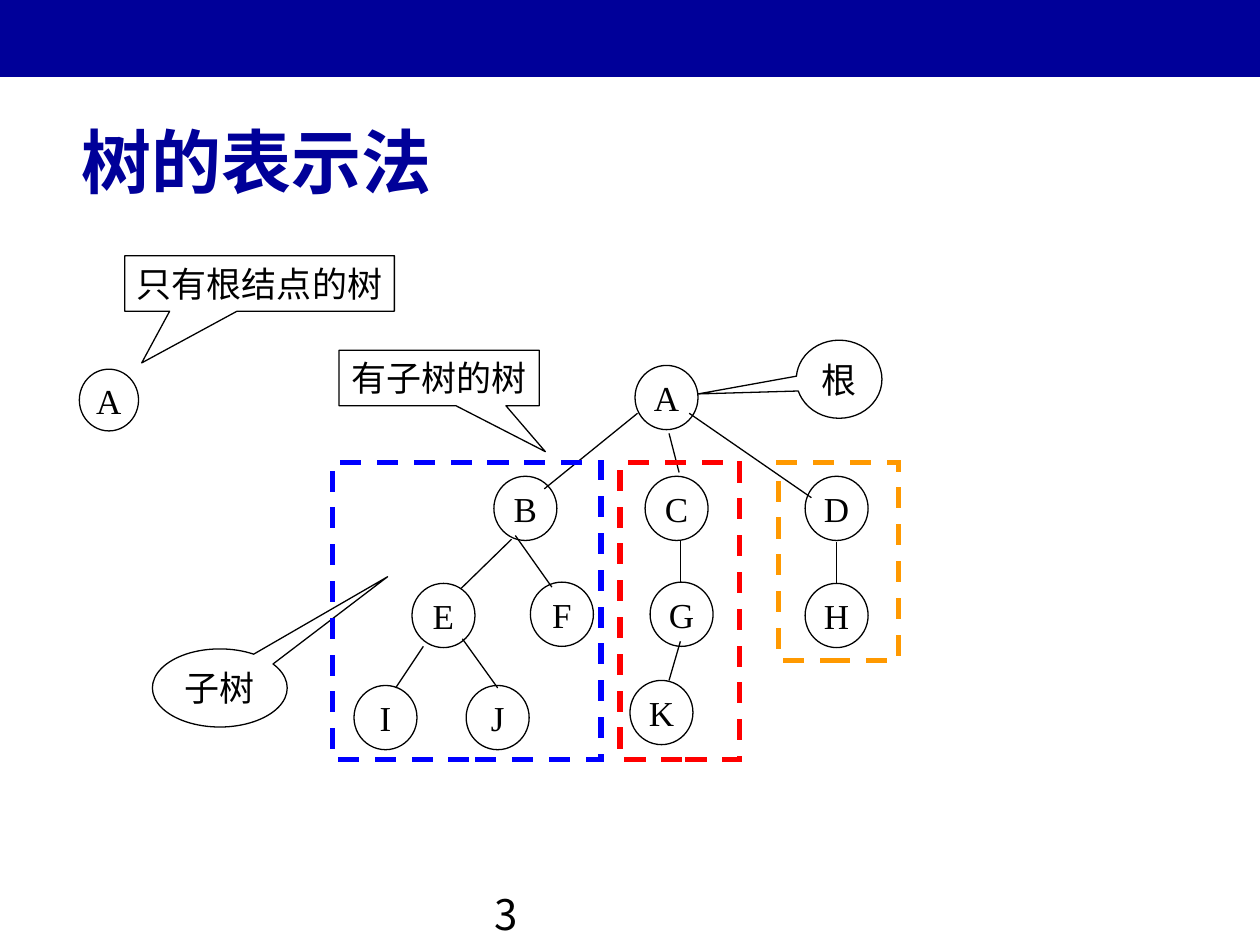
from lxml.etree import SubElement
from pptx import Presentation
from pptx.dml.color import RGBColor
from pptx.enum.dml import MSO_LINE
from pptx.enum.shapes import MSO_CONNECTOR, MSO_SHAPE
from pptx.enum.text import MSO_ANCHOR, MSO_AUTO_SIZE, PP_ALIGN
from pptx.oxml.ns import qn
from pptx.util import Inches, Pt

COLORS = {
    "navy": "000099",
    "black": "000000",
    "blue": "0000FF",
    "red": "FF0000",
    "orange": "FF9900",
}
LATIN = "Times New Roman"
CJK = "Noto Sans CJK SC"
NODE_SIZE = (0.5, 0.51)

# Left and top of each node in the large tree
NODES = {
    "A": (5.04, 2.9),
    "B": (3.92, 3.78), "C": (5.12, 3.78), "D": (6.39, 3.78),
    "E": (3.27, 4.63), "F": (4.21, 4.62), "G": (5.16, 4.62), "H": (6.39, 4.63),
    "I": (2.81, 5.44), "J": (3.7, 5.44), "K": (5, 5.4),
}

# Start and end of each branch, parent to child
BRANCHES = [
    ((5.06, 3.28), (4.32, 3.88)),  # A-B
    ((5.31, 3.44), (5.39, 3.75)),  # A-C
    ((5.47, 3.28), (6.44, 3.95)),  # A-D
    ((4.06, 4.28), (3.66, 4.67)),  # B-E
    ((4.09, 4.25), (4.38, 4.66)),  # B-F
    ((5.4, 4.29), (5.4, 4.62)),    # C-G
    ((6.64, 4.3), (6.64, 4.63)),   # D-H
    ((3.36, 5.13), (3.14, 5.46)),  # E-I
    ((3.67, 5.07), (3.95, 5.46)),  # E-J
    ((5.4, 5.09), (5.31, 5.4)),    # G-K
]

# Text, preset, box and pointer offset of each callout
CALLOUTS = [
    ("只有根结点的树", MSO_SHAPE.RECTANGULAR_CALLOUT, (0.99, 2.03, 2.14, 0.44), (-0.437, 1.433)),
    ("有子树的树", MSO_SHAPE.RECTANGULAR_CALLOUT, (2.69, 2.78, 1.59, 0.44), (0.53, 1.329)),
    ("根", MSO_SHAPE.OVAL_CALLOUT, (6.32, 2.7, 0.68, 0.62), (-1.647, 0.188)),
    ("子树", MSO_SHAPE.OVAL_CALLOUT, (1.21, 5.15, 1.07, 0.62), (1.245, -1.424)),
]

# Left, width, height and colour of each subtree frame
SUBTREES = [
    (6.18, 0.95, 1.57, "orange"),
    (4.92, 0.95, 2.36, "red"),
    (2.64, 2.13, 2.36, "blue"),
]


def rgb(name):
    return RGBColor.from_string(COLORS[name])


def write_text(holder, text, size=20, font=LATIN, color="black", bold=False,
               align=PP_ALIGN.CENTER, anchor=MSO_ANCHOR.MIDDLE, wrap=False):
    frame = holder.text_frame
    frame.auto_size = MSO_AUTO_SIZE.NONE
    frame.word_wrap = wrap
    frame.vertical_anchor = anchor
    paragraph = frame.paragraphs[0]
    paragraph.alignment = align
    run = paragraph.add_run()
    run.text = text
    run.font.size = Pt(size)
    run.font.name = font
    run.font.bold = bold
    run.font.color.rgb = rgb(color)
    SubElement(run.font._element, qn("a:ea"), typeface=CJK)


def add_outline(slide, preset, box, color="black", width=0.75):
    outline = slide.shapes.add_shape(preset, *map(Inches, box))
    outline.shadow.inherit = False
    outline.fill.background()
    outline.line.color.rgb = rgb(color)
    outline.line.width = Pt(width)
    return outline


def add_node(slide, letter, box):
    write_text(add_outline(slide, MSO_SHAPE.OVAL, box), letter)


def add_callout(slide, text, preset, box, pointer):
    callout = add_outline(slide, preset, box)
    callout.adjustments[0], callout.adjustments[1] = pointer
    write_text(callout, text)


def add_branch(slide, start, end):
    branch = slide.shapes.add_connector(
        MSO_CONNECTOR.STRAIGHT, *map(Inches, start + end))
    branch.line.color.rgb = rgb("black")
    branch.line.width = Pt(0.75)
    SubElement(branch.element.spPr, qn("a:effectLst"))


def add_subtree_frame(slide, left, width, height, color):
    frame = add_outline(slide, MSO_SHAPE.RECTANGLE, (left, 3.67, width, height), color, 3)
    frame.line.dash_style = MSO_LINE.DASH
    line = frame.element.spPr.find(qn("a:ln"))
    line.set("cap", "sq")
    SubElement(line, qn("a:miter"), lim="800000")


def add_header_and_title(slide):
    band = slide.shapes.add_shape(
        MSO_SHAPE.RECTANGLE, 0, 0, Inches(10), Inches(0.61))
    band.shadow.inherit = False
    band.fill.solid()
    band.fill.fore_color.rgb = rgb("navy")
    band.line.fill.background()

    title = slide.shapes.title
    title.left, title.top, title.width, title.height = map(Inches, (0.55, 0.86, 3.9, 0.8))
    write_text(title, "树的表示法", size=40, font=CJK, color="navy", bold=True,
               align=PP_ALIGN.LEFT, anchor=MSO_ANCHOR.BOTTOM, wrap=True)


def add_page_number(slide):
    number = slide.shapes.add_textbox(*map(Inches, (3.83, 7, 2.08, 0.5)))
    write_text(number, "3", size=24, font=CJK, align=PP_ALIGN.LEFT,
               anchor=MSO_ANCHOR.TOP, wrap=True)


def main():
    deck = Presentation()
    deck.slide_width, deck.slide_height = Inches(10), Inches(7.5)
    slide = deck.slides.add_slide(deck.slide_layouts[5])

    add_header_and_title(slide)
    add_page_number(slide)

    # Tree with a root only
    add_node(slide, "A", (0.63, 2.93, 0.47, 0.49))

    # Tree with subtrees
    for letter, corner in NODES.items():
        add_node(slide, letter, corner + NODE_SIZE)
    for start, end in BRANCHES:
        add_branch(slide, start, end)

    # Explanations and subtree frames
    for callout in CALLOUTS:
        add_callout(slide, *callout)
    for subtree in SUBTREES:
        add_subtree_frame(slide, *subtree)

    deck.save("out.pptx")


if __name__ == "__main__":
    main()
